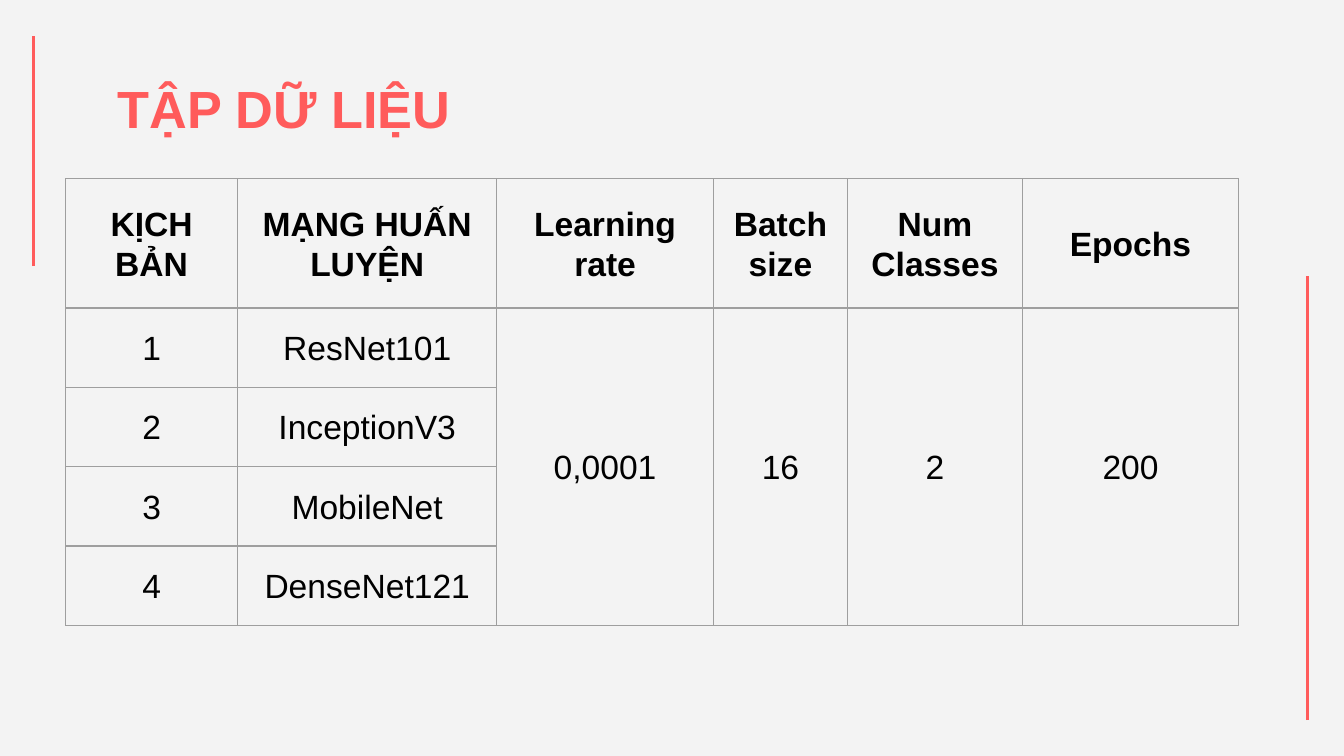
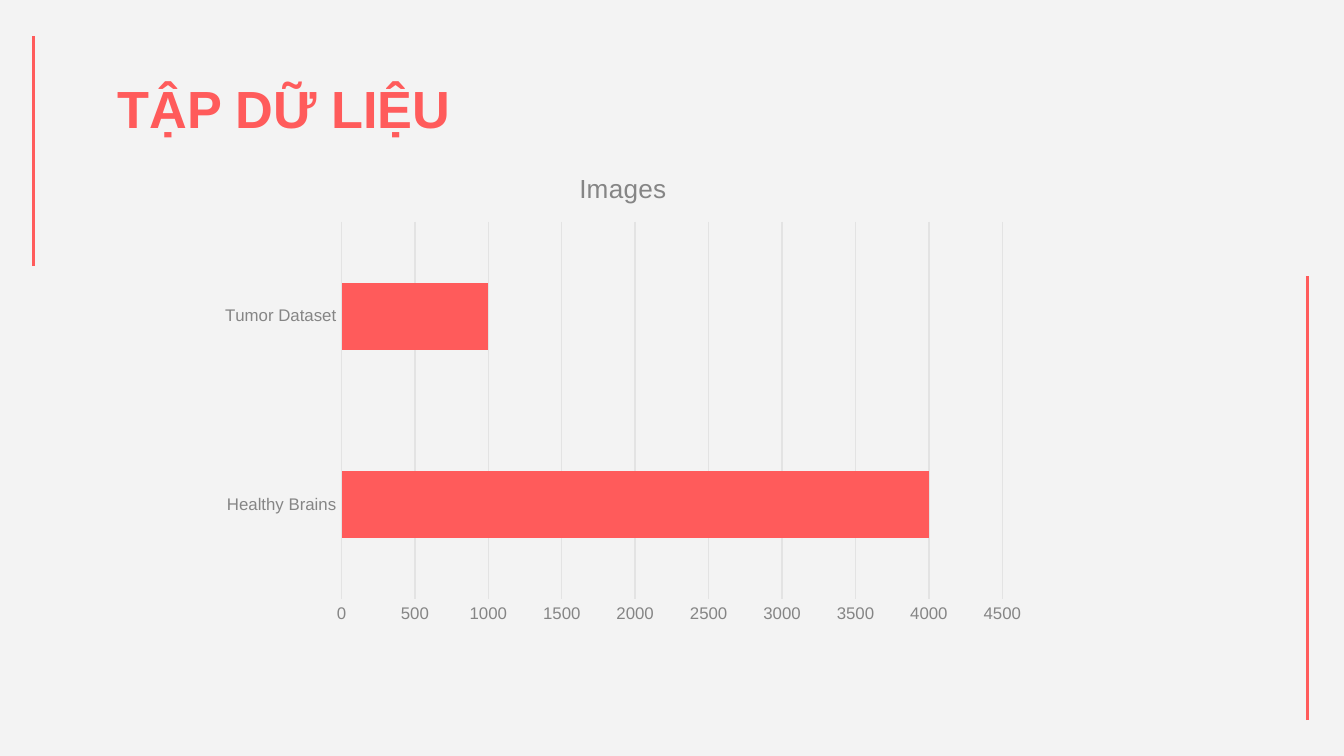
from lxml import etree
from pptx import Presentation
from pptx.chart.data import CategoryChartData
from pptx.dml.color import RGBColor
from pptx.enum.chart import XL_CHART_TYPE, XL_TICK_MARK
from pptx.enum.shapes import MSO_CONNECTOR
from pptx.enum.text import MSO_ANCHOR, MSO_AUTO_SIZE, PP_ALIGN
from pptx.oxml.ns import qn
from pptx.util import Cm, Pt

BAR = XL_CHART_TYPE.BAR_CLUSTERED
NO_TICK = XL_TICK_MARK.NONE
STRAIGHT = MSO_CONNECTOR.STRAIGHT
TOP, MIDDLE = MSO_ANCHOR.TOP, MSO_ANCHOR.MIDDLE
LEFT, CENTER = PP_ALIGN.LEFT, PP_ALIGN.CENTER
NO_FIT = MSO_AUTO_SIZE.NONE

FONT = "Arial"
COLORS = {
    "back": "F3F3F3",
    "accent": "FF5B5B",
    "text": "000000",
    "chart": "434343",
    "label": "858585",
    "grid": "E3E3E3",
    "border": "9E9E9E",
}
TITLE = "TẬP DỮ LIỆU"
TITLE_ONLY = 5

# Side rules: x, start y, end y in cm
SIDE_RULES = [(0.64, 5.03, 0.69), (24.71, 13.61, 5.21)]

# Table contents
HEADERS = ["KỊCH BẢN", "MẠNG HUẤN LUYỆN", "Learning rate",
           "Batch size", "Num Classes", "Epochs"]
NETWORKS = ["ResNet101", "InceptionV3", "MobileNet", "DenseNet121"]
SHARED_SETTINGS = ["0,0001", "16", "2", "200"]
COL_WIDTHS = [3.25, 4.9, 4.09, 2.54, 3.3, 4.09]
HEADER_HEIGHT, ROW_HEIGHT = 2.44, 1.5

# Chart contents
IMAGE_COUNTS = {"Healthy Brains": 4000, "Tumor Dataset": 1000}


def rgb(name):
    return RGBColor.from_string(COLORS[name])


def style_font(font, size, color, bold=False):
    font.name = FONT
    font.size = Pt(size)
    font.bold = bold
    font.color.rgb = rgb(color)


def style_line(line, color, width=0.75):
    line.color.rgb = rgb(color)
    line.width = Pt(width)


def add_side_rule(s, x, y1, y2):
    rule = s.shapes.add_connector(STRAIGHT, Cm(x), Cm(y1), Cm(x), Cm(y2))
    style_line(rule.line, "accent", 1.5)
    etree.SubElement(rule._element.spPr, qn("a:effectLst"))


def set_title(s, text):
    sp = s.shapes.title
    sp.left, sp.top, sp.width, sp.height = Cm(1.98), Cm(1.19), Cm(21.44), Cm(1.3)
    tf = sp.text_frame
    tf.text = text
    tf.auto_size = NO_FIT
    tf.word_wrap = True
    tf.vertical_anchor = TOP
    tf.margin_left = tf.margin_right = tf.margin_top = tf.margin_bottom = Cm(0.25)
    p = tf.paragraphs[0]
    p.alignment = LEFT
    style_font(p.runs[0].font, 28, "accent", True)


def add_slide(prs):
    s = prs.slides.add_slide(prs.slide_layouts[TITLE_ONLY])
    for rule in SIDE_RULES:
        add_side_rule(s, *rule)
    set_title(s, TITLE)
    return s


def set_borders(cell):
    tc_pr = cell._tc.get_or_add_tcPr()
    # Borders stand before the fill in the cell properties
    for i, side in enumerate(("a:lnL", "a:lnR", "a:lnT", "a:lnB")):
        ln = etree.Element(qn(side), w=str(Pt(0.75)))
        fill = etree.SubElement(ln, qn("a:solidFill"))
        etree.SubElement(fill, qn("a:srgbClr"), val=COLORS["border"])
        tc_pr.insert(i, ln)


def format_cell(cell):
    cell.fill.background()
    set_borders(cell)
    cell.vertical_anchor = MIDDLE
    cell.margin_left = cell.margin_right = Cm(0.18)
    cell.margin_top = cell.margin_bottom = 0


def fill_cell(cell, text, bold=False):
    p = cell.text_frame.paragraphs[0]
    p.text = text
    p.alignment = CENTER
    p.line_spacing = 1.07
    p.space_after = Pt(8)
    style_font(p.runs[0].font, 18, "text", bold)


def add_settings_table(s):
    heights = [HEADER_HEIGHT] + [ROW_HEIGHT] * len(NETWORKS)
    frame = s.shapes.add_table(len(heights), len(COL_WIDTHS), Cm(1.24), Cm(3.38),
                               Cm(sum(COL_WIDTHS)), Cm(sum(heights)))
    table = frame.table
    table.first_row = table.horz_banding = False
    for col, width in zip(table.columns, COL_WIDTHS):
        col.width = Cm(width)
    for row, height in zip(table.rows, heights):
        row.height = Cm(height)
    for cell in table.iter_cells():
        format_cell(cell)

    for c, header in enumerate(HEADERS):
        fill_cell(table.cell(0, c), header, True)
    for r, network in enumerate(NETWORKS, 1):
        fill_cell(table.cell(r, 0), str(r))
        fill_cell(table.cell(r, 1), network)
    # Settings common to all scenarios span the body rows
    for c, setting in enumerate(SHARED_SETTINGS, 2):
        table.cell(1, c).merge(table.cell(len(NETWORKS), c))
        fill_cell(table.cell(1, c), setting)


def format_axis(axis):
    axis.major_tick_mark = axis.minor_tick_mark = NO_TICK
    style_font(axis.tick_labels.font, 9, "label")


def add_images_chart(s):
    data = CategoryChartData()
    data.categories = list(IMAGE_COUNTS)
    data.add_series("Images", list(IMAGE_COUNTS.values()))
    chart = s.shapes.add_chart(BAR, Cm(3.94), Cm(2.84), Cm(15.67), Cm(9.14),
                               data).chart
    style_font(chart.font, 10, "chart")
    chart.has_legend = False

    # Chart title
    chart.has_title = True
    chart.chart_title.include_in_layout = False
    p = chart.chart_title.text_frame.paragraphs[0]
    p.text = "Images"
    style_font(p.runs[0].font, 14, "label")

    # Axes
    format_axis(chart.category_axis)
    style_line(chart.category_axis.format.line, "grid")
    values = chart.value_axis
    format_axis(values)
    values.minimum_scale, values.maximum_scale, values.major_unit = 0, 4500, 500
    values.format.line.fill.background()
    values.has_major_gridlines = True
    style_line(values.major_gridlines.format.line, "grid")

    # Bars
    plot = chart.plots[0]
    plot.gap_width = 182
    plot.vary_by_categories = False
    fill = plot.series[0].format.fill
    fill.solid()
    fill.fore_color.rgb = rgb("accent")


def main():
    prs = Presentation()
    prs.slide_width, prs.slide_height = Cm(25.4), Cm(14.29)
    back = prs.slide_master.background.fill
    back.solid()
    back.fore_color.rgb = rgb("back")

    add_settings_table(add_slide(prs))
    add_images_chart(add_slide(prs))
    prs.save("out.pptx")


if __name__ == "__main__":
    main()
